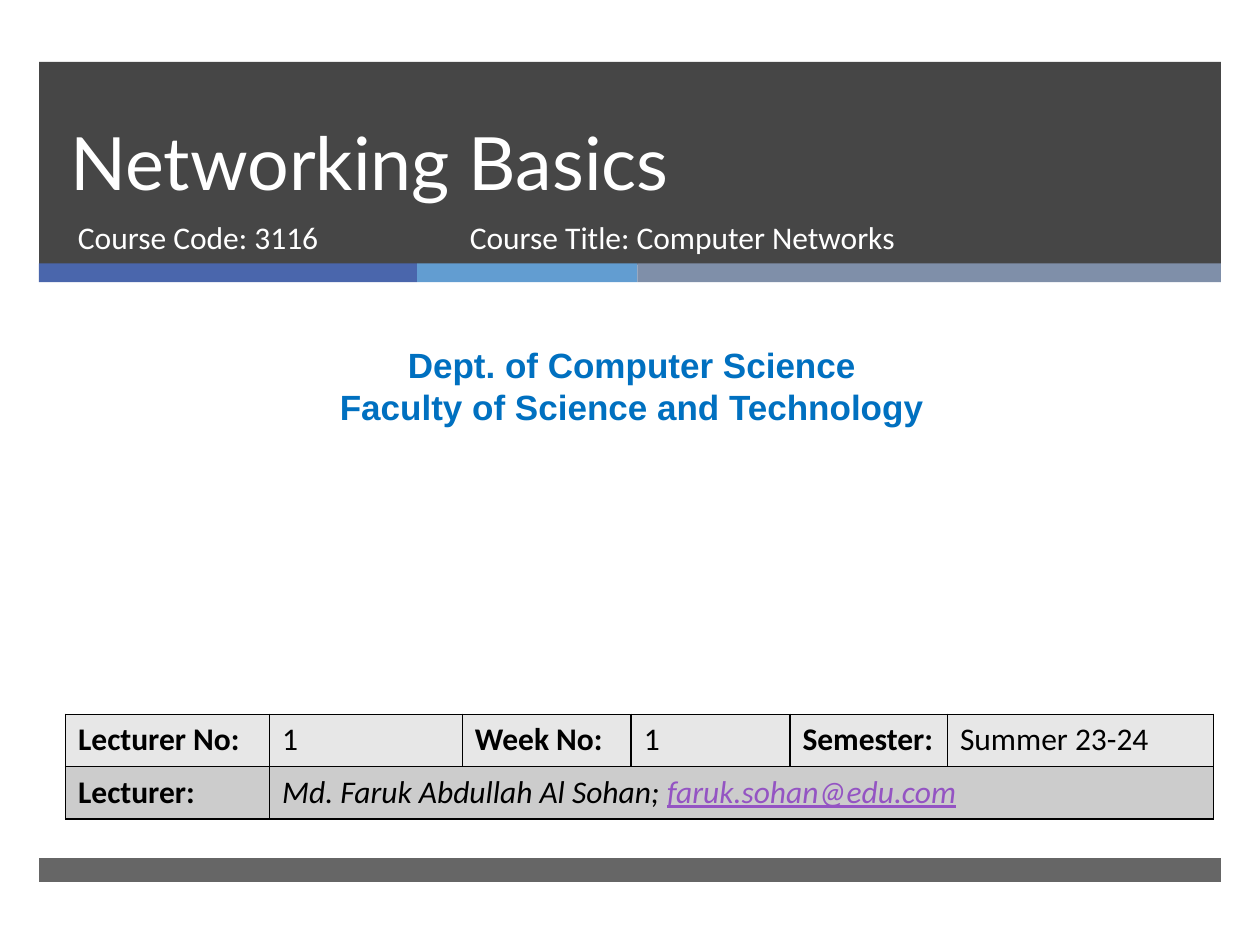
import pptx
import pptx.util
import pptx.dml.color
import pptx.enum.shapes
import pptx.enum.text
import pptx.oxml
import pptx.oxml.ns
from lxml import etree

CELL = pptx.util.Inches(0.1)  # grid of 100 columns by 75 rows
COLS, ROWS = 100, 75
LEFT, WIDE = 3.1, 93.8  # band shared by header and footer
INK, WHITE, BLACK = "262626", "FFFFFF", "000000"
ALIGN = pptx.enum.text.PP_ALIGN
ANCHOR = pptx.enum.text.MSO_ANCHOR


def grid(*units):
    return [round(unit * CELL) for unit in units]


def color(code):
    return pptx.dml.color.RGBColor.from_string(code)


def style(font, name, size, code, bold=False, slant=False):
    font.name, font.size = name, pptx.util.Pt(size)
    font.bold, font.italic = bold, slant
    font.color.rgb = color(code)


def bar(slide, box, code, alpha=100):
    shape = slide.shapes.add_shape(
        pptx.enum.shapes.MSO_SHAPE.RECTANGLE, *grid(*box))
    shape.shadow.inherit = False
    shape.line.fill.background()
    shape.fill.solid()
    shape.fill.fore_color.rgb = color(code)
    if alpha < 100:
        tint = shape.fill._xPr.find(".//" + pptx.oxml.ns.qn("a:srgbClr"))
        etree.SubElement(tint, pptx.oxml.ns.qn("a:alpha"),
                         val=str(alpha * 1000))


def label(slide, box, lines, name, size, code, bold=False,
          align=ALIGN.LEFT, anchor=ANCHOR.TOP, pitch=None):
    frame = slide.shapes.add_textbox(*grid(*box)).text_frame
    frame.word_wrap = True
    frame.vertical_anchor = anchor
    frame.text = "\n".join(lines)
    for para in frame.paragraphs:
        para.alignment = align
        if pitch:
            para.line_spacing = pptx.util.Pt(pitch)
        style(para.font, name, size, code, bold)


def header(slide, box):
    left, top, wide, high = box
    base = top + high
    bar(slide, box, INK, 85)

    # Three-colour stripe below the dark panel
    spot = left
    for share, code in ((30, "4A66AC"), (17.5, "629DD1"), (46.3, "7F8FA9")):
        bar(slide, (spot, base - 0.1, share, 1.5), code)
        spot += share

    # Title and course details
    split = top + 11.9
    label(slide, (left + 1.5, top, 85.4, 11.9), ["Networking Basics"],
          "Lato", 42, WHITE, anchor=ANCHOR.BOTTOM, pitch=46)
    for shift, width, text in ((2.1, 30.5, "Course Code: 3116"),
                               (33.2, 45.5, "Course Title: Computer Networks")):
        label(slide, (left + shift, split, width, 5.3), [text],
              "Calibri", 18, WHITE)


def border(cell):
    props = cell._tc.get_or_add_tcPr()
    for spot, side in enumerate(("lnL", "lnR", "lnT", "lnB")):
        props.insert(spot, pptx.oxml.parse_xml(
            f'<a:{side} {pptx.oxml.ns.nsdecls("a")} w="12700"><a:solidFill>'
            f'<a:srgbClr val="{BLACK}"/></a:solidFill></a:{side}>'))


def details(slide, box):
    rows = (("Lecturer No:", "1", "Week No:", "1",
             "Semester:", "Summer 23-24"),
            ("Lecturer:", "Md. Faruk Abdullah Al Sohan; ", "", "", "", ""))
    table = slide.shapes.add_table(2, 6, *grid(*box)).table
    for col, width in zip(table.columns, (16.2, 15.3, 13.4, 12.6, 12.5, 21.1)):
        col.width = grid(width)[0]
    for r, (texts, shade) in enumerate(zip(rows, ("E7E7E7", "CCCCCC"))):
        for c, text in enumerate(texts):
            cell = table.cell(r, c)
            cell.fill.solid()
            cell.fill.fore_color.rgb = color(shade)
            border(cell)
            cell.text = text
            style(cell.text_frame.paragraphs[0].font, "Calibri", 18, BLACK,
                  bold=c % 2 == 0, slant=r == 1 and c == 1)

    # Lecturer spans the remaining columns, with the address underlined
    host = table.cell(1, 1)
    host.merge(table.cell(1, 5))
    mail = host.text_frame.paragraphs[0].add_run()
    mail.text = "faruk.sohan@edu.com"
    mail.font.underline = True
    mail.font.color.rgb = color("9454C3")


def main():
    deck = pptx.Presentation()
    deck.slide_width, deck.slide_height = grid(COLS, ROWS)
    slide = deck.slides.add_slide(deck.slide_layouts[6])

    header(slide, (LEFT, 4.9, WIDE, 16.1))
    label(slide, (0.8, 26.8, 98.7, 7.7),
          ["Dept. of Computer Science", "Faculty of Science and Technology"],
          "Arial", 20, "0070C0", bold=True, align=ALIGN.CENTER)
    details(slide, (5.2, 56.7, 91.1, 8.3))
    bar(slide, (LEFT, 68.1, WIDE, 1.9), INK, 70)  # footer
    deck.save("out.pptx")


if __name__ == "__main__":
    main()
